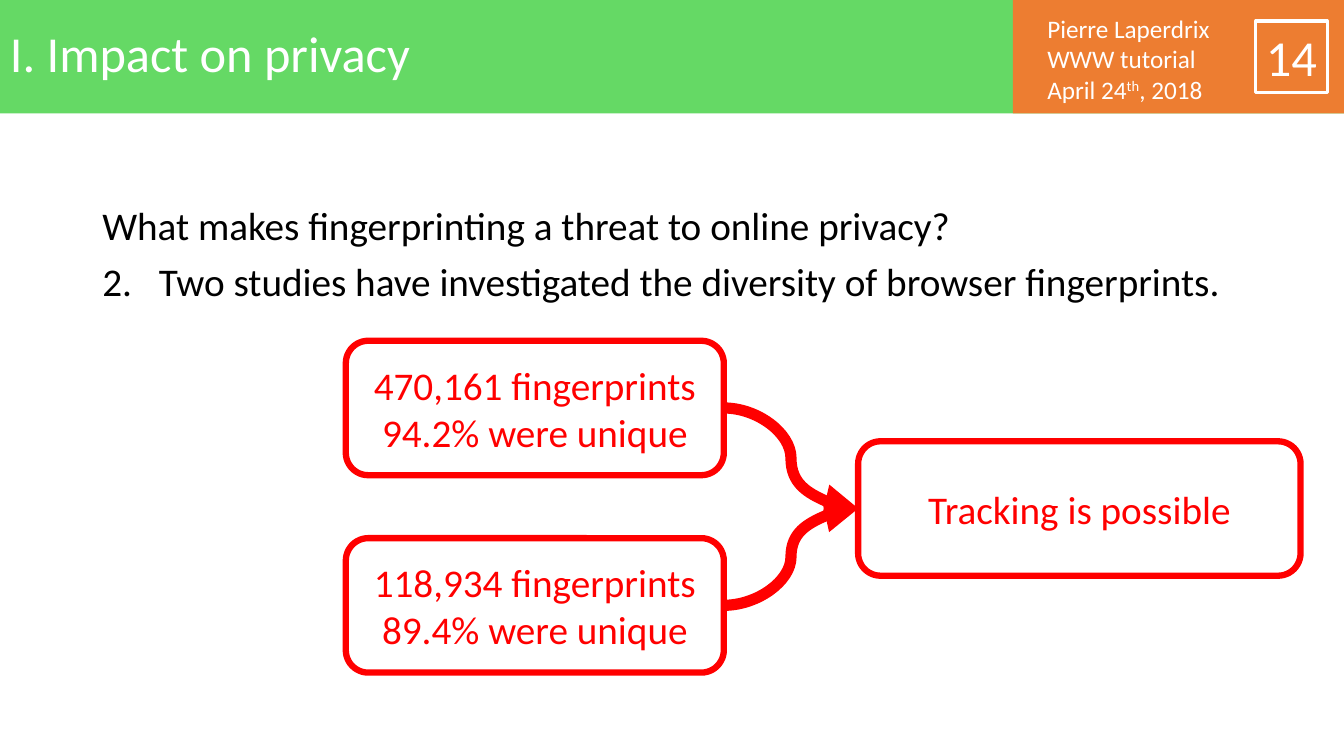
from dataclasses import dataclass

from lxml import etree
from pptx import Presentation
from pptx.dml.color import RGBColor
from pptx.enum import shapes, text
from pptx.oxml import ns
from pptx.util import Pt

WHITE, BLACK, RED = "FFFFFF", "000000", "FF0000"
GREEN, ORANGE = "65D965", "ED7D31"
HEADER_HEIGHT, HEADER_SPLIT = 81, 723.6
LEFT_SIDE, RIGHT_SIDE = 1, 3


@dataclass
class Card:
    left: float
    top: float
    width: float
    lines: list[str]
    height: float = 96


STUDIES = [
    Card(247, 243.4, 270, ["470,161 fingerprints", "94.2% were unique"]),
    Card(247, 384.4, 270, ["118,934 fingerprints", "89.4% were unique"]),
]
OUTCOME = Card(613, 315.2, 316, ["Tracking is possible"])


def color(value: str) -> RGBColor:
    return RGBColor.from_string(value)


def add_child(parent, tag: str, **attributes: str) -> None:
    etree.SubElement(parent, ns.qn(tag), **attributes)


def add_box(page, kind, left, top, width, height, fill=None, line=None, weight=0):
    box = page.shapes.add_shape(kind, Pt(left), Pt(top), Pt(width), Pt(height))
    box.shadow.inherit = False
    if fill:
        box.fill.solid()
        box.fill.fore_color.rgb = color(fill)
    else:
        box.fill.background()
    if line:
        box.line.color.rgb = color(line)
        box.line.width = Pt(weight)
    else:
        box.line.fill.background()
    return box


def add_text_box(page, left, top, width, height):
    return page.shapes.add_textbox(Pt(left), Pt(top), Pt(width), Pt(height))


def write(box, lines, *, size, ink, align=text.PP_ALIGN.LEFT, anchor=text.MSO_ANCHOR.TOP,
          spacing=1.0, gap=0, margin=None):
    """Fill a box; a line is a string or a list of strings, each second one raised."""
    frame = box.text_frame
    frame.word_wrap = True
    frame.vertical_anchor = anchor
    if margin is not None:
        frame.margin_left = frame.margin_right = Pt(margin)
    for index, line in enumerate(lines):
        para = frame.add_paragraph() if index else frame.paragraphs[0]
        para.alignment = align
        para.line_spacing = spacing
        para.space_before = Pt(gap if index else 0)
        for position, piece in enumerate([line] if isinstance(line, str) else line):
            span = para.add_run()
            span.text = piece
            span.font.name = "Calibri"
            span.font.size = Pt(size)
            span.font.color.rgb = color(ink)
            if position % 2:
                span.font._element.set("baseline", "30000")
    return frame.paragraphs


def number(para, start: int, indent: float) -> None:
    properties = para._p.get_or_add_pPr()
    properties.set("marL", str(Pt(indent)))
    properties.set("indent", str(-Pt(indent)))
    add_child(properties, "a:buFont", typeface="+mj-lt")
    add_child(properties, "a:buAutoNum", type="arabicPeriod", startAt=str(start))


def add_card(page, card: Card):
    box = add_box(page, shapes.MSO_SHAPE.ROUNDED_RECTANGLE, card.left, card.top,
                  card.width, card.height, fill=WHITE, line=RED, weight=4.5)
    write(box, card.lines, size=28, ink=RED, align=text.PP_ALIGN.CENTER,
          anchor=text.MSO_ANCHOR.MIDDLE)
    return box


def add_curved_arrow(page, source, target) -> None:
    arrow = page.shapes.add_connector(
        shapes.MSO_CONNECTOR.CURVE,
        source.left + source.width, source.top + source.height // 2,
        target.left, target.top + target.height // 2)
    arrow.begin_connect(source, RIGHT_SIDE)
    arrow.end_connect(target, LEFT_SIDE)
    arrow.line.color.rgb = color(RED)
    arrow.line.width = Pt(8)
    properties = arrow._element.spPr
    add_child(properties.find(ns.qn("a:ln")), "a:tailEnd", type="triangle")
    add_child(properties, "a:effectLst")


def add_header(page) -> None:
    rectangle = shapes.MSO_SHAPE.RECTANGLE
    middle = text.MSO_ANCHOR.MIDDLE
    add_box(page, rectangle, 0, 0, 960, HEADER_HEIGHT, fill=GREEN)
    add_box(page, rectangle, HEADER_SPLIT, 0, 960 - HEADER_SPLIT, HEADER_HEIGHT, fill=ORANGE)
    write(add_text_box(page, 741, 6, 162, 72.7),
          ["Pierre Laperdrix", "WWW tutorial", ["April 24", "th", ", 2018"]],
          size=18, ink=WHITE)
    add_box(page, rectangle, 897, 15, 51, 51, line=WHITE, weight=2.25)
    write(add_text_box(page, 0, 0, HEADER_SPLIT, HEADER_HEIGHT), ["I. Impact on privacy"],
          size=36, ink=WHITE, anchor=middle, spacing=0.9)
    write(add_text_box(page, 897, 26, 51, 29), ["14"], size=36, ink=WHITE,
          align=text.PP_ALIGN.CENTER, anchor=middle, margin=0)


def main() -> None:
    deck = Presentation()
    deck.slide_width, deck.slide_height = Pt(960), Pt(540)
    page = deck.slides.add_slide(deck.slide_layouts[6])
    add_header(page)

    body = write(add_text_box(page, 66, 144, 828, 80),
                 ["What makes fingerprinting a threat to online privacy?",
                  "Two studies have investigated the diversity of browser fingerprints."],
                 size=28, ink=BLACK, spacing=0.9, gap=10)
    number(body[1], start=2, indent=40.5)

    outcome = add_card(page, OUTCOME)
    studies = [add_card(page, study) for study in STUDIES]
    for study in studies:
        add_curved_arrow(page, study, outcome)
    deck.save("out.pptx")


if __name__ == "__main__":
    main()
